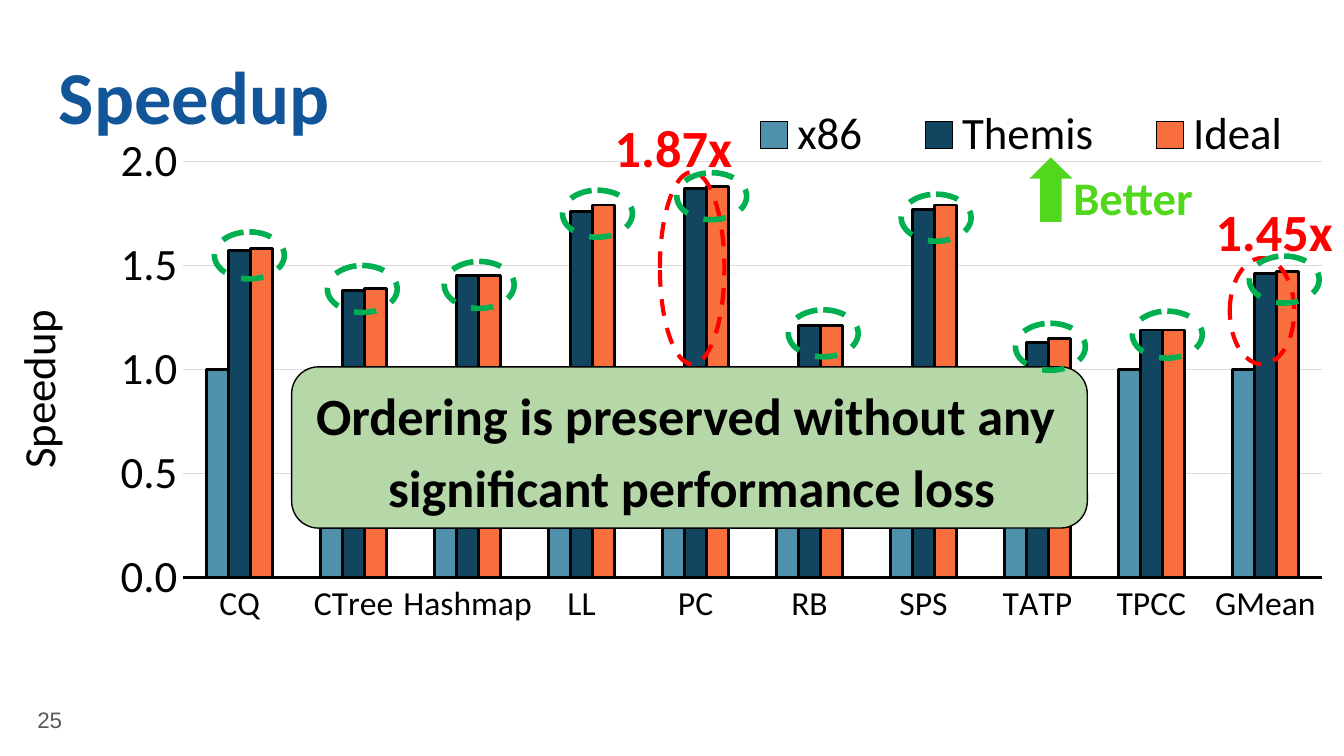
from lxml.etree import SubElement
from pptx import Presentation
from pptx.chart.data import CategoryChartData
from pptx.dml.color import RGBColor
from pptx.enum.chart import XL_CHART_TYPE, XL_LEGEND_POSITION, XL_TICK_MARK
from pptx.enum.dml import MSO_LINE
from pptx.enum.shapes import MSO_SHAPE
from pptx.enum.text import MSO_ANCHOR, PP_ALIGN
from pptx.oxml import parse_xml
from pptx.oxml.ns import nsdecls, qn
from pptx.util import Inches, Pt

BLACK = RGBColor(0x00, 0x00, 0x00)
GRAY = RGBColor(0x59, 0x59, 0x59)
GRID = RGBColor(0xD9, 0xD9, 0xD9)
BLUE = RGBColor(0x12, 0x55, 0x98)
RED = RGBColor(0xFF, 0x00, 0x00)
GREEN = RGBColor(0x00, 0xB0, 0x50)
LIME = RGBColor(0x51, 0xD7, 0x1B)
SAGE = RGBColor(0xB6, 0xD7, 0xA8)
TEAL = RGBColor(0x4F, 0x91, 0xAB)
NAVY = RGBColor(0x12, 0x45, 0x60)
ORANGE = RGBColor(0xF9, 0x6E, 0x3D)

BENCHMARKS = ["CQ", "CTree", "Hashmap", "LL", "PC", "RB", "SPS", "TATP", "TPCC", "GMean"]
SERIES = [
    ("x86", [1] * len(BENCHMARKS), TEAL),
    ("Themis", [1.57, 1.38, 1.45, 1.76, 1.87, 1.21, 1.77, 1.13, 1.19, 1.46], NAVY),
    ("Ideal", [1.58, 1.39, 1.45, 1.79, 1.88, 1.21, 1.79, 1.15, 1.19, 1.47], ORANGE),
]
# Left and top of the ring around each Themis/Ideal pair
RINGS = [(1.68, 1.64), (2.52, 1.89), (3.39, 1.86), (4.27, 1.33), (5.12, 1.2),
         (5.95, 2.22), (6.79, 1.36), (7.64, 2.32), (8.51, 2.23), (9.38, 1.82)]


def place(element, index, inner=False, **fractions):
    """Give a chart part a manual layout, in fractions of the chart."""
    for layout in element.findall(qn("c:layout")):
        element.remove(layout)
    layout = parse_xml(f"<c:layout {nsdecls('c')}/>")
    manual = SubElement(layout, qn("c:manualLayout"))
    settings = {"layoutTarget": "inner"} if inner else {}
    settings.update(xMode="edge", yMode="edge", **fractions)
    for name, value in settings.items():
        SubElement(manual, qn(f"c:{name}")).set("val", str(value))
    element.insert(index, layout)


class SlideBuilder:
    font_name = "Calibri"

    def __init__(self, slide):
        self.slide = slide

    def style_font(self, font, size, color=BLACK, bold=False, name=None):
        font.name = name or self.font_name
        font.size = Pt(size)
        font.bold = bold
        font.color.rgb = color

    def style_line(self, line, color, width, dash=None):
        line.color.rgb = color
        line.width = Pt(width)
        if dash:
            line.dash_style = dash

    def text(self, box, lines, size, color, bold=True, name=None, align=PP_ALIGN.CENTER,
             anchor=MSO_ANCHOR.TOP, inset=0.1, spacing=None):
        text_box = self.slide.shapes.add_textbox(*map(Inches, box))
        frame = text_box.text_frame
        frame.word_wrap = True
        frame.vertical_anchor = anchor
        frame.margin_left = frame.margin_right = Inches(0.1)
        frame.margin_top = frame.margin_bottom = Inches(inset)
        paragraph = frame.paragraphs[0]
        paragraph.alignment = align
        if spacing:
            paragraph.line_spacing = spacing
        for number, line in enumerate(lines):
            if number:
                paragraph.add_line_break()
            run = paragraph.add_run()
            run.text = line
            self.style_font(run.font, size, color, bold, name)

    def shape(self, kind, box, fill=None, line=None, rotation=0):
        """Add a preset shape; line is a colour, a width and maybe a dash."""
        shape = self.slide.shapes.add_shape(kind, *map(Inches, box))
        shape.shadow.inherit = False
        shape.rotation = rotation
        if fill is None:
            shape.fill.background()
        else:
            shape.fill.solid()
            shape.fill.fore_color.rgb = fill
        if line is None:
            shape.line.fill.background()
        else:
            self.style_line(shape.line, *line)

    def column_chart(self, box, categories, series, axis_title):
        data = CategoryChartData(number_format="0.00")
        data.categories = categories
        for name, values, _ in series:
            data.add_series(name, values)
        chart = self.slide.shapes.add_chart(
            XL_CHART_TYPE.COLUMN_CLUSTERED, *map(Inches, box), data).chart
        self.style_font(chart.font, 24)
        chart.has_title = False
        plot = chart.plots[0]
        plot.gap_width = 219
        plot.vary_by_categories = False
        for column, (_, _, color) in zip(plot.series, series):
            column.format.fill.solid()
            column.format.fill.fore_color.rgb = color
            self.style_line(column.format.line, BLACK, 1.5)
        place(chart._chartSpace.chart.plotArea, 0, inner=True, x=0.136, y=0.101, w=0.848, h=0.651)

        category_axis, value_axis = chart.category_axis, chart.value_axis
        for axis, size in ((category_axis, 18), (value_axis, 24)):
            axis.major_tick_mark = axis.minor_tick_mark = XL_TICK_MARK.NONE
            self.style_font(axis.tick_labels.font, size)
        self.style_line(category_axis.format.line, BLACK, 1.5)
        value_axis.format.line.fill.background()
        value_axis.minimum_scale, value_axis.maximum_scale = 0, 2
        value_axis.major_unit = 0.5
        value_axis.tick_labels.number_format = "#,##0.0"
        value_axis.tick_labels.number_format_is_linked = False
        self.style_line(value_axis.major_gridlines.format.line, GRID, 0.75)

        title = value_axis.axis_title
        run = title.text_frame.paragraphs[0].add_run()
        run.text = axis_title
        self.style_font(run.font, 24)
        body = title._element.find(".//" + qn("a:bodyPr"))
        body.set("rot", "-5400000")
        body.set("vert", "horz")
        place(title._element, 1, x=0, y=0.32)

        chart.has_legend = True
        chart.legend.position = XL_LEGEND_POSITION.TOP
        chart.legend.include_in_layout = False
        self.style_font(chart.legend.font, 24)
        place(chart.legend._element, 1, x=0.53, y=0.01, w=0.46, h=0.1)


def main():
    presentation = Presentation()
    presentation.slide_width = Inches(10)
    presentation.slide_height = Inches(10) * 9 // 16
    builder = SlideBuilder(presentation.slides.add_slide(presentation.slide_layouts[6]))

    builder.column_chart((0, 0.72, 10, 4.76), BENCHMARKS, SERIES, "Speedup")
    builder.text((0.07, 5.14, 0.6, 0.43), ["25"], 12, GRAY, bold=False, name="Arial",
                 anchor=MSO_ANCHOR.MIDDLE)
    builder.text((7.87, 1.28, 1.12, 0.37), ["Better"], 25, LIME, anchor=MSO_ANCHOR.MIDDLE)
    builder.text((0.34, 0.27, 9.32, 0.63), ["Speedup"], 40, BLUE, align=PP_ALIGN.LEFT)
    builder.shape(MSO_SHAPE.UP_ARROW, (7.66, 1.17, 0.32, 0.48), fill=LIME)

    for box in ((9.15, 1.92, 0.48, 0.79), (4.91, 1.28, 0.48, 1.43)):
        builder.shape(MSO_SHAPE.OVAL, box, line=(RED, 2.25, MSO_LINE.DASH))
    for label, left, top in (("1.87x", 4.45, 0.81), ("1.45x", 8.92, 1.43)):
        builder.text((left, top, 1.12, 0.57), [label], 28, RED, inset=0.05)

    builder.shape(MSO_SHAPE.ROUNDED_RECTANGLE, (2.17, 2.73, 5.92, 1.2), SAGE, (BLACK, 0.75))
    builder.text((2.16, 2.68, 5.97, 1.4),
                 ["Ordering is preserved without any ", "significant performance loss"],
                 28, BLACK, spacing=1.15)
    for left, top in RINGS:
        builder.shape(MSO_SHAPE.OVAL, (left, top, 0.35, 0.52),
                      line=(GREEN, 3, MSO_LINE.DASH), rotation=90)

    presentation.save("out.pptx")


if __name__ == "__main__":
    main()
